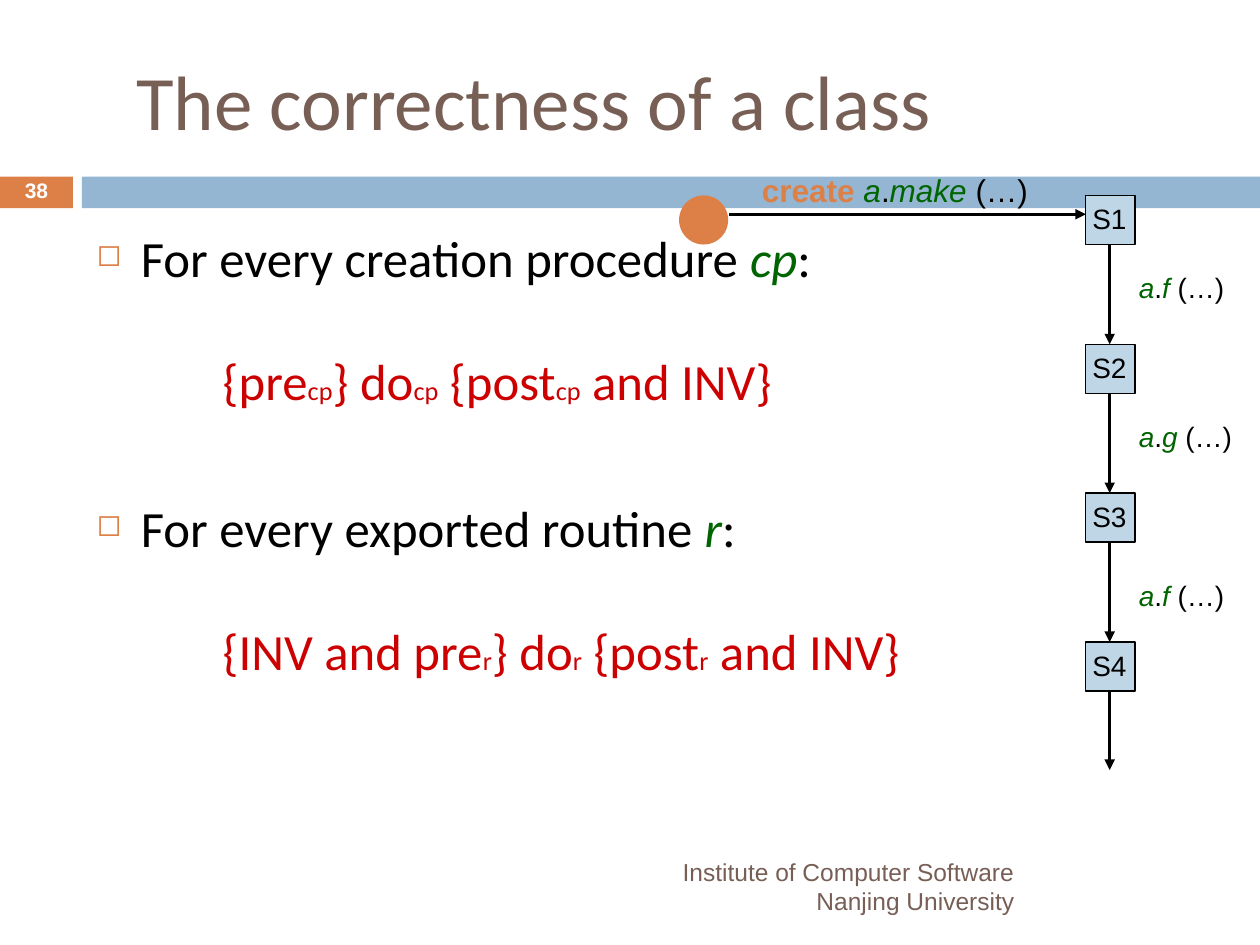
from dataclasses import dataclass
from typing import Optional

import lxml.etree
import pptx
import pptx.dml.color
import pptx.enum.shapes
import pptx.enum.text
import pptx.oxml.ns
import pptx.util
from pptx.util import Cm

SHAPE = pptx.enum.shapes.MSO_SHAPE
ANCHOR = pptx.enum.text.MSO_ANCHOR
ALIGN = pptx.enum.text.PP_ALIGN

ORANGE, BLUE, PALE_BLUE = "DD8047", "94B6D2", "BED6E6"
BROWN, GREEN, RED, BLACK, WHITE = "775F55", "006400", "CC0000", "000000", "FFFFFF"


@dataclass
class Area:
    left: float
    top: float
    width: float
    height: float

    def lengths(self):
        return Cm(self.left), Cm(self.top), Cm(self.width), Cm(self.height)


@dataclass
class Call:
    feature: str
    top: float


@dataclass
class Rule:
    subject: str
    symbol: str
    formula: tuple[str, ...]
    space_before: float


STATE_LEFT, STATE_TOP, STATE_SIZE, STATE_STEP = 21.89, 3.94, 0.99, 3.0
STATES = ["S1", "S2", "S3", "S4"]
CALLS = [Call("f", 5.33), Call("g", 8.33), Call("f", 11.53)]
RULES = [
    Rule("For every creation procedure ", "cp",
         ("{pre", "} do", " {post", " and INV}"), 0),
    Rule("For every exported routine ", "r",
         ("{INV and pre", "} do", " {post", " and INV}"), 49.4),
]


def rgb(value: str):
    return pptx.dml.color.RGBColor.from_string(value)


def add_span(para, text: str, *, size: float, color: str = BLACK,
             font: str = "Arial", bold: bool = False, italic: bool = False):
    span = para.add_run()
    span.text = text
    span.font.name = font
    span.font.size = pptx.util.Pt(size)
    span.font.color.rgb = rgb(color)
    span.font.bold = bold
    span.font.italic = italic


def add_text_box(page, area: Area, anchor=ANCHOR.TOP):
    frame = page.shapes.add_textbox(*area.lengths()).text_frame
    frame.word_wrap = True
    frame.vertical_anchor = anchor
    return frame


def add_box(page, kind, area: Area, fill: str, outline: Optional[str] = None):
    box = page.shapes.add_shape(kind, *area.lengths())
    box.shadow.inherit = False
    box.fill.solid()
    box.fill.fore_color.rgb = rgb(fill)
    if outline:
        box.line.color.rgb = rgb(outline)
        box.line.width = pptx.util.Pt(0.75)
    else:
        box.line.fill.background()
    return box


def add_arrow(page, left: float, top: float, right: float, bottom: float):
    arrow = page.shapes.add_connector(
        pptx.enum.shapes.MSO_CONNECTOR.STRAIGHT,
        Cm(left), Cm(top), Cm(right), Cm(bottom))
    arrow.line.color.rgb = rgb(BLACK)
    arrow.line.width = pptx.util.Pt(1.5)
    qn = pptx.oxml.ns.qn
    lxml.etree.SubElement(arrow.line._get_or_add_ln(), qn("a:tailEnd"), type="triangle")
    lxml.etree.SubElement(arrow._element.spPr, qn("a:effectLst"))


def indent(para, margin: float, first_line: float):
    properties = para._p.get_or_add_pPr()
    properties.set("marL", str(Cm(margin)))
    properties.set("indent", str(Cm(first_line)))
    return properties


def add_bullet(para):
    qn = pptx.oxml.ns.qn
    properties = indent(para, 0.89, -0.89)
    color = lxml.etree.SubElement(properties, qn("a:buClr"))
    lxml.etree.SubElement(color, qn("a:srgbClr"), val=ORANGE)
    lxml.etree.SubElement(properties, qn("a:buSzPct"), val="60000")
    lxml.etree.SubElement(properties, qn("a:buChar"), char="◻")


def add_rule(frame, rule: Rule, first: bool):
    para = frame.paragraphs[0] if first else frame.add_paragraph()
    add_bullet(para)
    para.space_before = pptx.util.Pt(rule.space_before)
    add_span(para, rule.subject, size=29, font="Calibri")
    add_span(para, rule.symbol, size=29, font="Calibri", color=GREEN, italic=True)
    add_span(para, ":", size=29, font="Calibri")

    para = frame.add_paragraph()
    indent(para, 2.54, 0)
    para.space_before = pptx.util.Pt(35.4)
    for index, part in enumerate(rule.formula):
        if index:
            add_span(para, rule.symbol, size=15, font="Calibri", color=RED)
        add_span(para, part, size=29, font="Calibri", color=RED)


def add_call(para, feature: str, size: float):
    add_span(para, "a", size=size, color=GREEN, italic=True)
    add_span(para, ".", size=size)
    add_span(para, feature, size=size, color=GREEN, italic=True)
    add_span(para, " (…)", size=size)


def add_state(page, name: str, top: float):
    box = add_box(page, SHAPE.RECTANGLE,
                  Area(STATE_LEFT, top, STATE_SIZE, STATE_SIZE), PALE_BLUE, BLACK)
    frame = box.text_frame
    frame.word_wrap = False
    frame.vertical_anchor = ANCHOR.TOP
    frame.margin_left = frame.margin_right = frame.margin_top = Cm(0.13)
    para = frame.paragraphs[0]
    para.alignment = ALIGN.LEFT
    add_span(para, name, size=16)


def add_title(page):
    title = page.shapes.title
    title.left, title.top, title.width, title.height = Area(2.49, 0.64, 21.84, 2.74).lengths()
    title.text_frame.vertical_anchor = ANCHOR.MIDDLE
    para = title.text_frame.paragraphs[0]
    para.alignment = ALIGN.LEFT
    add_span(para, "The correctness of a class", size=44, font="Calibri", color=BROWN)


def add_frame(page):
    add_box(page, SHAPE.RECTANGLE, Area(0, 3.56, 1.47, 0.64), ORANGE)
    add_box(page, SHAPE.RECTANGLE, Area(1.65, 3.56, 23.75, 0.64), BLUE)
    number = add_text_box(page, Area(0, 3.53, 1.47, 0.69), ANCHOR.MIDDLE).paragraphs[0]
    number.alignment = ALIGN.CENTER
    number.line_spacing = 0.8
    add_span(number, "38", size=12, color=WHITE, bold=True)

    footer = add_text_box(page, Area(1.7, 17.35, 19, 1.02), ANCHOR.MIDDLE)
    footer.add_paragraph()
    for para, text in zip(footer.paragraphs,
                          ["Institute of Computer Software", "Nanjing University"]):
        para.alignment = ALIGN.RIGHT
        add_span(para, text, size=14, color=BROWN)


def add_life_cycle(page):
    add_box(page, SHAPE.OVAL, Area(13.69, STATE_TOP, STATE_SIZE, STATE_SIZE), ORANGE)
    add_arrow(page, 14.7, 4.32, STATE_LEFT, 4.32)
    creation = add_text_box(page, Area(15.11, 3.33, 6.6, 1.02)).paragraphs[0]
    add_span(creation, "create ", size=18, color=ORANGE, bold=True)
    add_call(creation, "make", 18)

    for index, name in enumerate(STATES):
        top = STATE_TOP + index * STATE_STEP
        bottom = top + STATE_SIZE
        last = index == len(STATES) - 1
        add_state(page, name, top)
        add_arrow(page, 22.37, bottom, 22.37, 15.52 if last else top + STATE_STEP)
    for call in CALLS:
        label = add_text_box(page, Area(22.71, call.top, 2.49, 0.94))
        add_call(label.paragraphs[0], call.feature, 16)


def main():
    deck = pptx.Presentation()
    deck.slide_width, deck.slide_height = Cm(25.4), Cm(19.05)
    page = deck.slides.add_slide(deck.slide_layouts[5])
    add_title(page)
    add_frame(page)
    body = add_text_box(page, Area(1.7, 4.45, 22.66, 12.5))
    for index, rule in enumerate(RULES):
        add_rule(body, rule, index == 0)
    add_life_cycle(page)
    deck.save("out.pptx")


if __name__ == "__main__":
    main()
